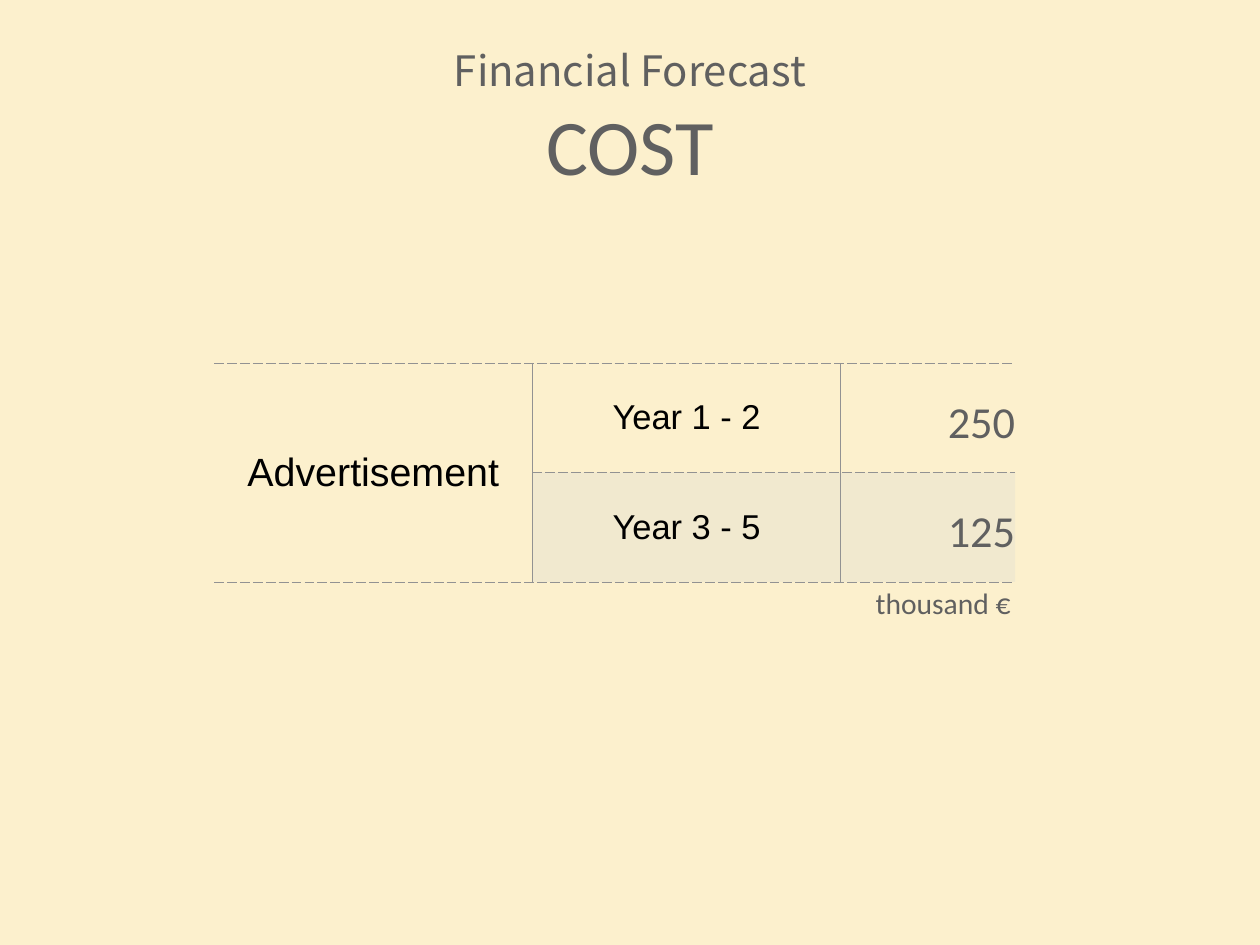
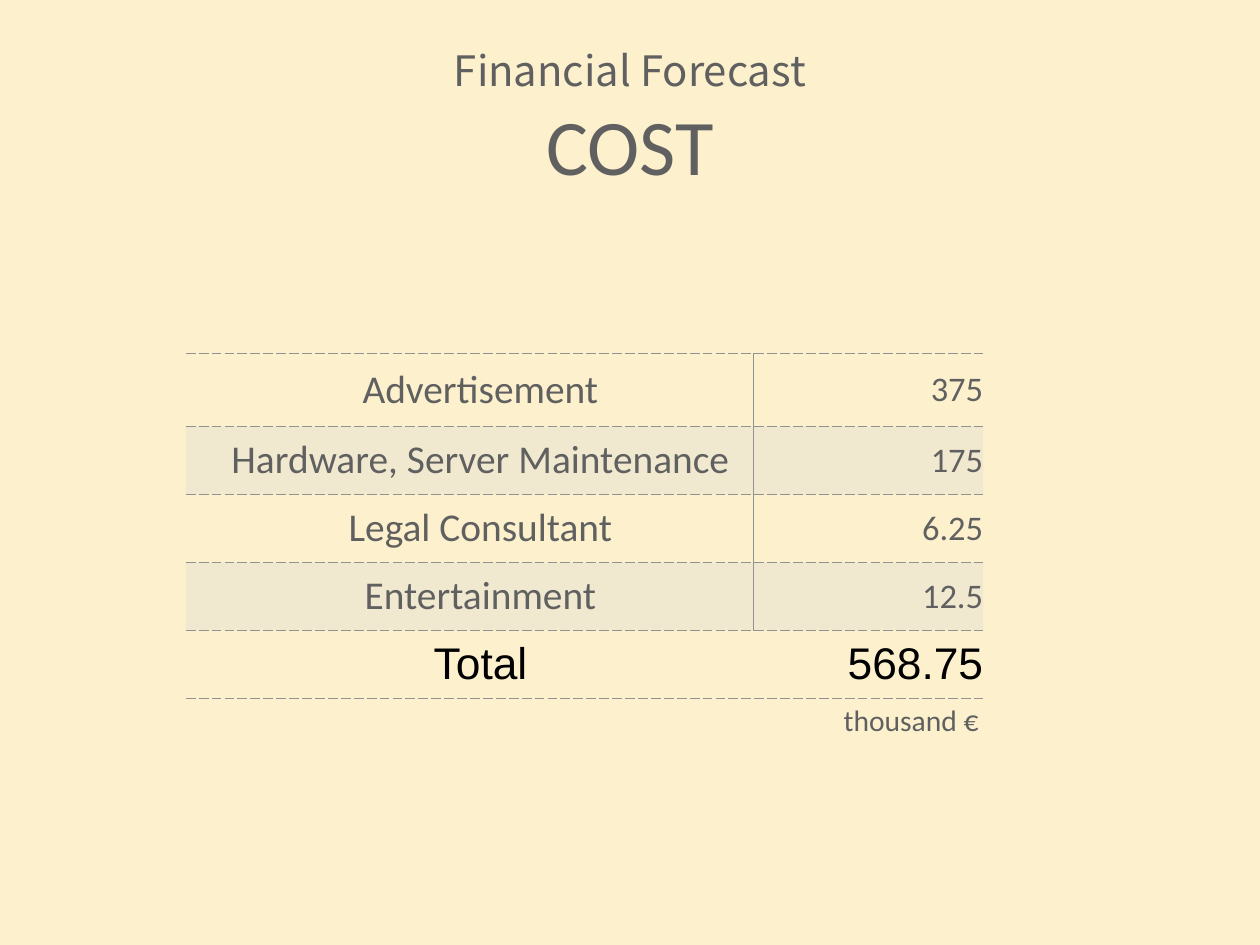
from lxml.etree import SubElement
from pptx import Presentation
from pptx.dml.color import RGBColor
from pptx.enum.text import MSO_ANCHOR, MSO_AUTO_SIZE, PP_ALIGN
from pptx.oxml.ns import qn
from pptx.util import Pt

CREAM, GREY, BLACK = "FCF0CD", "606060", "000000"
BAND, RULE = "E7E3D2", "929292"
BAND_ALPHA = 50
NO_STYLE = "{2D5ABB26-0587-4C30-8999-92F81FD0307C}"

SLIDE_WIDTH, SLIDE_HEIGHT = 1024, 768
HEADING_WIDTH, HEADING_HEIGHT = 708, 112
HEADING_LEFT = (SLIDE_WIDTH - HEADING_WIDTH) / 2
UNIT_WIDTH, UNIT_HEIGHT = 117, 34

CENTER, RIGHT = PP_ALIGN.CENTER, PP_ALIGN.RIGHT
TEXT_STYLES = {
    "overline": dict(font="Noto Sans CJK JP", size=34),
    "title": dict(size=64, spacing=0.9),
    "unit": dict(size=24),
    "group": dict(font="Arial", size=32, color=BLACK),
    "period": dict(font="Arial", size=28, color=BLACK),
    "yearly": dict(size=36, align=RIGHT, spacing=1.2),
    "item": dict(size=32, indent=18),
    "amount": dict(size=28, align=RIGHT),
    "total": dict(font="Arial", size=36, color=BLACK, indent=18),
    "sum": dict(font="Arial", size=36, color=BLACK, align=RIGHT),
}
CELL_MARGINS = {"group": 4, "item": 4}


def rgb(value):
    return RGBColor.from_string(value)


def set_all(target, values):
    for name, value in values.items():
        setattr(target, name, value)


def margins(size):
    return {f"margin_{side}": Pt(size) for side in ("left", "top", "right", "bottom")}


def write(frame, text, style, font="Calibri", size=24, color=GREY,
          align=CENTER, spacing=None, indent=0):
    """Fill a text frame with one paragraph in a named text style."""
    frame.text = text
    paragraph = frame.paragraphs[0]
    set_all(paragraph, dict(alignment=align, line_spacing=spacing))
    if indent:
        paragraph._p.get_or_add_pPr().set("indent", str(Pt(indent)))
    run_font = paragraph.runs[0].font
    set_all(run_font, dict(name=font, size=Pt(size)))
    run_font.color.rgb = rgb(color)


def styled(frame, text, style):
    write(frame, text, style, **TEXT_STYLES[style])


def format_frame(frame, wrap=True):
    set_all(frame, dict(word_wrap=wrap, auto_size=MSO_AUTO_SIZE.NONE,
                        vertical_anchor=MSO_ANCHOR.MIDDLE, **margins(3)))


def add_label(slide, text, style, left, top, width, height, wrap=True):
    box = slide.shapes.add_textbox(Pt(left), Pt(top), Pt(width), Pt(height))
    format_frame(box.text_frame, wrap)
    styled(box.text_frame, text, style)


def add_cost_slide(presentation):
    slide = presentation.slides.add_slide(presentation.slide_layouts[5])
    add_label(slide, "Financial Forecast", "overline",
              HEADING_LEFT, 1, HEADING_WIDTH, HEADING_HEIGHT)
    title = slide.shapes.title
    set_all(title, dict(left=Pt(HEADING_LEFT), top=Pt(65.5),
                        width=Pt(HEADING_WIDTH), height=Pt(HEADING_HEIGHT)))
    format_frame(title.text_frame)
    styled(title.text_frame, "COST", "title")
    return slide


def draw_borders(cell, borders):
    """Draw borders given as {side: (width, dash)}."""
    properties = cell._tc.get_or_add_tcPr()
    for side in "LRTB":
        if side in borders:
            width, dash = borders[side]
            line = SubElement(properties, qn(f"a:ln{side}"), w=str(Pt(width)))
            fill = SubElement(line, qn("a:solidFill"))
            SubElement(fill, qn("a:srgbClr"), val=RULE)
            SubElement(line, qn("a:prstDash"), val=dash)


def shade(cell, banded):
    if not banded:
        cell.fill.background()
        return
    cell.fill.solid()
    cell.fill.fore_color.rgb = rgb(BAND)
    color = cell._tc.tcPr.find(qn("a:solidFill")).find(qn("a:srgbClr"))
    SubElement(color, qn("a:alpha"), val=str(BAND_ALPHA * 1000))


def add_cost_table(slide, left, top, widths, heights, rows, dividers):
    """Add a table with its unit below; None continues the cell above it.

    dividers holds the line widths between columns, left out in total rows.
    """
    frame = slide.shapes.add_table(len(rows), len(widths), Pt(left), Pt(top),
                                   Pt(sum(widths)), Pt(sum(heights)))
    table = frame.table
    set_all(table, dict(first_row=False, horz_banding=False))
    table._tbl.tblPr.find(qn("a:tableStyleId")).text = NO_STYLE
    for column, width in zip(table.columns, widths):
        column.width = Pt(width)
    for row, height in zip(table.rows, heights):
        row.height = Pt(height)

    for r, row in enumerate(rows):
        is_total = row[-1][1] == "sum"
        for c, entry in enumerate(row):
            cell = table.cell(r, c)
            borders = {"B": (0.25, "dash")}
            if entry:
                borders["T"] = borders["B"]
            if c > 0 and not is_total:
                borders["L"] = (dividers[c - 1], "solid")
            if c < len(dividers) and not is_total:
                borders["R"] = (dividers[c], "solid")
            draw_borders(cell, borders)
            shade(cell, entry and r % 2 == 1)
            if entry is None:
                table.cell(r - 1, c).merge(cell)
                continue
            text, style = entry
            set_all(cell, dict(vertical_anchor=MSO_ANCHOR.MIDDLE,
                               **margins(CELL_MARGINS.get(style, 0))))
            styled(cell.text_frame, text, style)

    add_label(slide, "thousand €", "unit", left + sum(widths) - UNIT_WIDTH,
              top + sum(heights), UNIT_WIDTH, UNIT_HEIGHT, wrap=False)


def main():
    presentation = Presentation()
    set_all(presentation, dict(slide_width=Pt(SLIDE_WIDTH), slide_height=Pt(SLIDE_HEIGHT)))
    background = presentation.slide_master.background.fill
    background.solid()
    background.fore_color.rgb = rgb(CREAM)

    advertisement = [
        [("Advertisement", "group"), ("Year 1 - 2", "period"), ("250", "yearly")],
        [None, ("Year 3 - 5", "period"), ("125", "yearly")],
    ]
    add_cost_table(add_cost_slide(presentation), 174, 295, [259, 250, 142],
                   [89] * 2, advertisement, dividers=[1, 0.25])

    costs = [("Advertisement", "375"), ("Hardware, Server Maintenance", "175"),
             ("Legal Consultant", "6.25"), ("Entertainment", "12.5")]
    overview = [[(item, "item"), (amount, "amount")] for item, amount in costs]
    overview.append([("Total", "total"), ("568.75", "sum")])
    add_cost_table(add_cost_slide(presentation), 151, 287, [461, 187],
                   [59.5] + [55.3] * 4, overview, dividers=[1])

    presentation.save("out.pptx")


if __name__ == "__main__":
    main()
